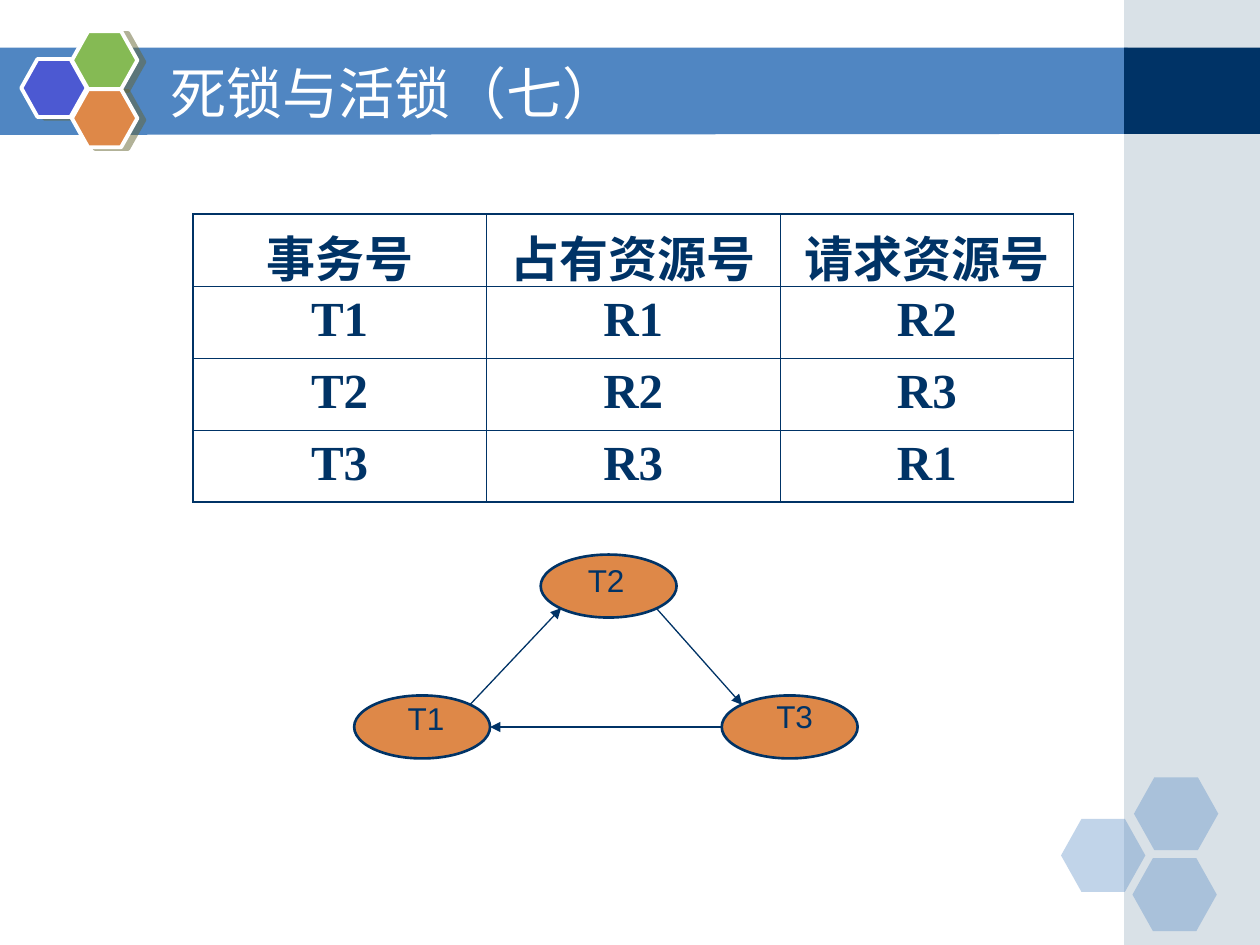
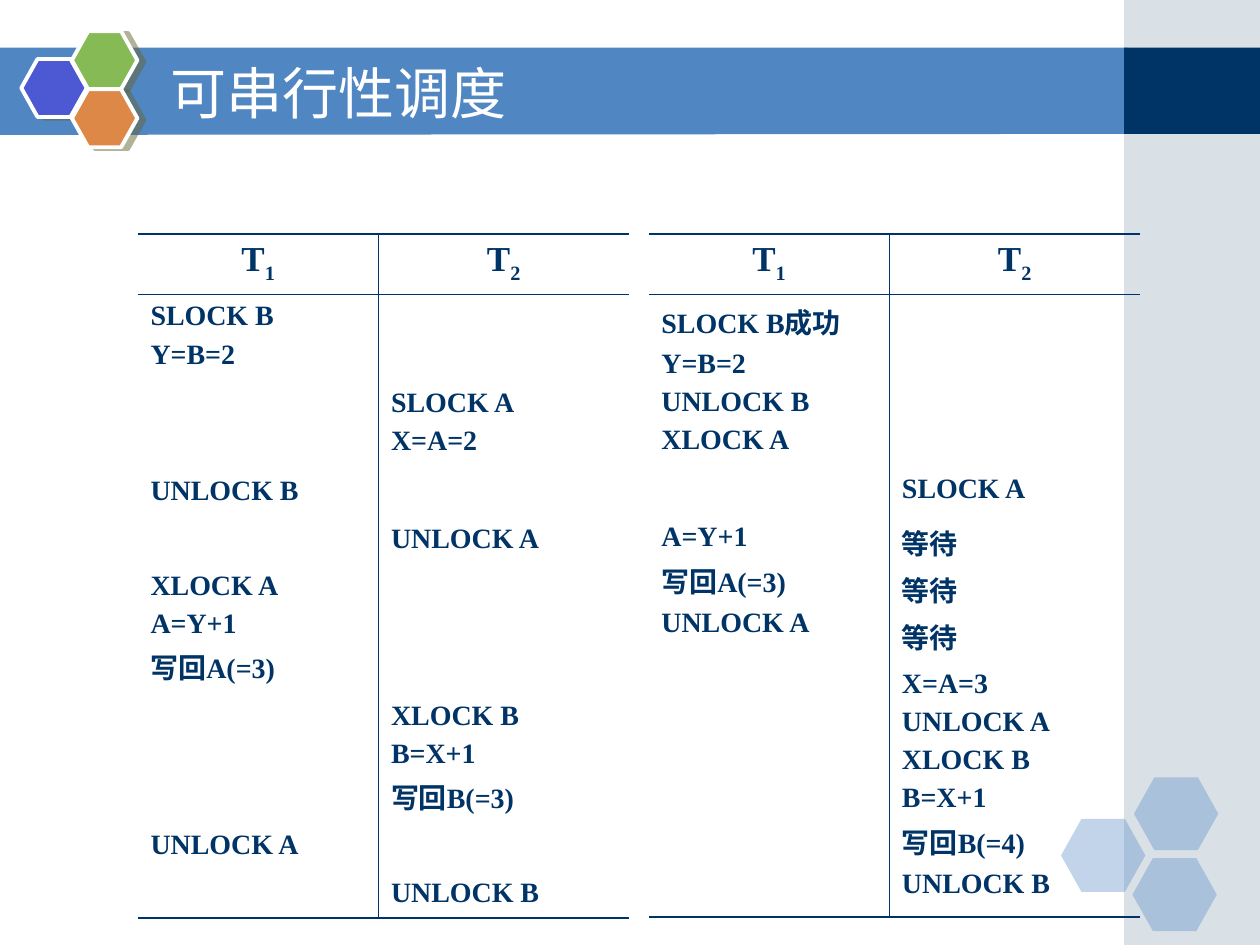
from dataclasses import dataclass
from lxml.etree import SubElement
from pptx import Presentation
from pptx.dml.color import RGBColor
from pptx.enum.shapes import MSO_CONNECTOR, MSO_SHAPE
from pptx.enum.text import MSO_ANCHOR, MSO_AUTO_SIZE, PP_ALIGN
from pptx.oxml.ns import qn
from pptx.util import Cm, Pt


@dataclass(frozen=True)
class Theme:
    """Colours, fonts, type sizes and line widths of the deck."""
    navy: str = "003366"
    blue: str = "5086C2"
    mist: str = "A0B5C4"
    iris: str = "4C59D2"
    green: str = "85BA54"
    orange: str = "DE8848"
    olive: str = "666633"
    white: str = "FFFFFF"
    sans: str = "Arial"
    serif: str = "Times New Roman"
    head: str = "DejaVu Sans"
    title: int = 32
    grid: int = 28
    top: int = 20
    label: int = 18
    step: int = 16
    thin: float = 0.45
    thick: float = 1.08


T = Theme()
BAND = (0, 0.96, 22.73, 1.74)
SIDE = (22.66, 0, 2.74, 19.05)
TITLE = (3.18, 1.07, 18.62, 1.57)
LOGO = (0.43, 0.63)
TRIO = (21.39, 15.67)
LOCKS = [["事务号", "占有资源号", "请求资源号"], ["T1", "R1", "R2"],
         ["T2", "R2", "R3"], ["T3", "R3", "R1"]]
NODES = {"T2": (10.9, 11.18, 0.05, 0), "T1": (7.14, 14.02, 0.18, -0.05),
         "T3": (14.55, 14.02, 0.2, -0.1)}
NEAR, FAR = 0.15, 0.85
WAITS = [("T1", (FAR, NEAR), "T2", (NEAR, FAR)),
         ("T2", (FAR, FAR), "T3", (NEAR, NEAR)),
         ("T3", (0, 0.5), "T1", (1, 0.5))]
FREE = [(1.22, "T_1", "T_2"),
        (1.75, "SLOCK B\nY=B=2", ""),
        (1.77, "", "SLOCK A\nX=A=2"),
        (0.97, "UNLOCK B", ""),
        (0.94, "", "UNLOCK A"),
        (2.62, "XLOCK A\nA=Y+1\n写回A(=3)", ""),
        (2.6, "", "XLOCK B\nB=X+1\n写回B(=3)"),
        (0.97, "UNLOCK A", ""),
        (0.94, "", "UNLOCK B")]
SERIAL = [(1.22, "T_1", "T_2"),
          (3.48, "SLOCK B成功\nY=B=2\nUNLOCK B\nXLOCK A", ""),
          (0.97, "", "SLOCK A"),
          (2.96, "A=Y+1\n写回A(=3)\nUNLOCK A", "等待\n等待\n等待"),
          (5.13, "", "X=A=3\nUNLOCK A\nXLOCK B\nB=X+1\n写回B(=4)\nUNLOCK B")]


def rgb(code):
    """Turn a hex code into a colour."""
    return RGBColor.from_string(code)


def dress(thing, **form):
    """Set each format value on an object."""
    for name, value in form.items():
        setattr(thing, name, value)


def paint(shape, fill, alpha=None, line=None, width=0):
    """Fill and outline a shape without its default shadow."""
    shape.shadow.inherit = False
    shape.fill.solid()
    shape.fill.fore_color.rgb = rgb(fill)
    if alpha:
        tone = next(shape._element.iter(qn("a:srgbClr")))
        SubElement(tone, qn("a:alpha"), val=str(alpha * 1000))
    if line:
        dress(shape.line, width=Pt(width))
        shape.line.color.rgb = rgb(line)
    else:
        shape.line.fill.background()
    return shape


def draw(slide, kind, box, fill, **look):
    """Add a painted preset shape in a box given in centimetres."""
    return paint(slide.shapes.add_shape(kind, *map(Cm, box)), fill, **look)


def write(frame, text, font, size, color, bold=False, align=None, gap=0):
    """Write lines into a frame, with the part after _ set as subscript."""
    for i, line in enumerate(text.split("\n")):
        par = frame.add_paragraph() if i else frame.paragraphs[0]
        par.alignment = align
        if i:
            par.space_before = Pt(gap)
        if not line:
            SubElement(par._p, qn("a:endParaRPr"), sz=str(size * 100))
            continue
        for j, part in enumerate(line.split("_")):
            run = par.add_run()
            run.text = part
            dress(run.font, name=font, size=Pt(size), bold=bold)
            run.font.color.rgb = rgb(color)
            if j:
                run._r.get_or_add_rPr().set("baseline", "-25000")


def label(slide, box, text, font, size, color, align=None, **form):
    """Add a wrapped text box."""
    frame = slide.shapes.add_textbox(*map(Cm, box)).text_frame
    dress(frame, word_wrap=True, **form)
    write(frame, text, font, size, color, align=align)


def shade(shape):
    """Cast a hard olive shadow to the right."""
    glow = shape._element.spPr.find(qn("a:effectLst"))
    cast = SubElement(glow, qn("a:outerShdw"), blurRad="0", dist="52070",
                      dir="840000", algn="ctr", rotWithShape="0")
    tone = SubElement(cast, qn("a:srgbClr"), val=T.olive)
    SubElement(tone, qn("a:alpha"), val="50000")


def cluster(slide, spot, size, steps, fills, **look):
    """Place three hexagons relative to a corner."""
    cells = []
    for (dx, dy), fill in zip(steps, fills):
        box = (spot[0] + dx, spot[1] + dy, *size)
        cell = draw(slide, MSO_SHAPE.HEXAGON, box, fill, **look)
        cell.adjustments[0] = 0.28
        cells.append(cell)
    return cells


def frame(deck, text):
    """Start a slide with band, side strip, hexagons and title."""
    slide = deck.slides.add_slide(deck.slide_layouts[6])
    x, y, w, h = BAND
    path = slide.shapes.build_freeform(Cm(x), Cm(y))
    path.add_line_segments([(Cm(x + w), Cm(y)), (Cm(x + w), Cm(y + h)),
                            (Cm(x), Cm(y + h + 0.02))])
    paint(path.convert_to_shape(), T.blue)
    draw(slide, MSO_SHAPE.RECTANGLE, SIDE, T.mist, alpha=40)
    draw(slide, MSO_SHAPE.RECTANGLE, (SIDE[0], y, SIDE[2], h), T.navy)
    cluster(slide, TRIO, (1.7, 1.47), [(0, 0.84), (1.47, 0), (1.44, 1.63)],
            [T.blue] * 3, alpha=35)
    logo = cluster(slide, LOGO, (1.32, 1.17),
                   [(0, 0.56), (1.02, 0), (1.02, 1.17)],
                   [T.iris, T.green, T.orange], line=T.white, width=2.25)
    for cell in logo:
        shade(cell)
    label(slide, TITLE, text, T.head, T.title, T.white,
          vertical_anchor=MSO_ANCHOR.MIDDLE)
    return slide


def edge(cell, widths):
    """Rule the left, right, top and bottom of a cell; 0 hides a side."""
    props = cell._tc.get_or_add_tcPr()
    for side, width in zip("LRTB", widths):
        rule = SubElement(props, qn(f"a:ln{side}"), w=str(int(Pt(width))))
        if width:
            ink = SubElement(rule, qn("a:solidFill"))
            SubElement(ink, qn("a:srgbClr"), val=T.navy)
        else:
            SubElement(rule, qn("a:noFill"))
    cell.fill.background()


def table(slide, spot, cols, rows, texts, sides, style):
    """Add a ruled table whose cells are styled by row."""
    tall, wide = len(rows), len(cols)
    grid = slide.shapes.add_table(tall, wide, *map(Cm, spot),
                                  Cm(sum(cols)), Cm(sum(rows))).table
    dress(grid, first_row=False, horz_banding=False)
    for col, size in zip(grid.columns, cols):
        col.width = Cm(size)
    for row, size in zip(grid.rows, rows):
        row.height = Cm(size)
    for r, line in enumerate(texts):
        for c, text in enumerate(line):
            cell = grid.cell(r, c)
            write(cell.text_frame, text, T.serif, color=T.navy, bold=True,
                  **style(r))
            edge(cell, sides(r, c, tall, wide))


def boxed(r, c, tall, wide):
    """Give thick rules around the table and thin ones inside."""
    ends = (c == 0, c == wide - 1, r == 0, r == tall - 1)
    return [T.thick if end else T.thin for end in ends]


def ruled(r, c, tall, wide):
    """Give rules at top, header, bottom and between the columns."""
    return [T.thin if c else 0, T.thin if c < wide - 1 else 0,
            (T.thick, T.thin)[r] if r < 2 else 0,
            T.thin if r == 0 else T.thick if r == tall - 1 else 0]


def large(r):
    """Style every row of the lock table."""
    return dict(size=T.grid, align=PP_ALIGN.CENTER)


def plan(r):
    """Style the header and the steps of a schedule."""
    return dict(size=T.step, gap=4) if r else dict(size=T.top,
                                                   align=PP_ALIGN.CENTER)


def arrow(slide, start, end):
    """Draw an arrow between two points."""
    line = slide.shapes.add_connector(MSO_CONNECTOR.STRAIGHT,
                                      *map(Cm, (*start, *end)))
    line.line.width = Pt(0.75)
    line.line.color.rgb = rgb(T.navy)
    SubElement(line.line._get_or_add_ln(), qn("a:tailEnd"), type="triangle")
    SubElement(line._element.spPr, qn("a:effectLst"))


def graph(slide, size):
    """Draw the cycle of transactions that wait for each other."""
    def site(name, part):
        return [NODES[name][i] + size[i] * part[i] for i in (0, 1)]

    for name, (x, y, dx, dy) in NODES.items():
        draw(slide, MSO_SHAPE.OVAL, (x, y, *size), T.orange,
             line=T.navy, width=1.5)
        label(slide, (x + dx, y + dy, 2.54, 1.02), name, T.sans, T.label,
              T.navy, PP_ALIGN.CENTER,
              auto_size=MSO_AUTO_SIZE.SHAPE_TO_FIT_TEXT)
    for start, leave, end, reach in WAITS:
        arrow(slide, site(start, leave), site(end, reach))


def locks(deck):
    """Build the deadlock slide."""
    slide = frame(deck, "死锁与活锁（七）")
    graph(slide, (2.74, 1.27))
    table(slide, (3.89, 4.32), [5.91, 5.93, 5.91], [1.45] * 4, LOCKS, boxed,
          large)


def plans(deck):
    """Build the slide with two schedules side by side."""
    slide = frame(deck, "可串行性调度")
    for i, steps in enumerate((FREE, SERIAL)):
        table(slide, (2.78 + 10.3 * i, 4.72), [4.85, 5.05],
              [step[0] for step in steps], [step[1:] for step in steps],
              ruled, plan)


def main():
    """Build and save the deck."""
    deck = Presentation()
    dress(deck, slide_width=Cm(25.4), slide_height=Cm(19.05))
    locks(deck)
    plans(deck)
    deck.save("out.pptx")


if __name__ == "__main__":
    main()
